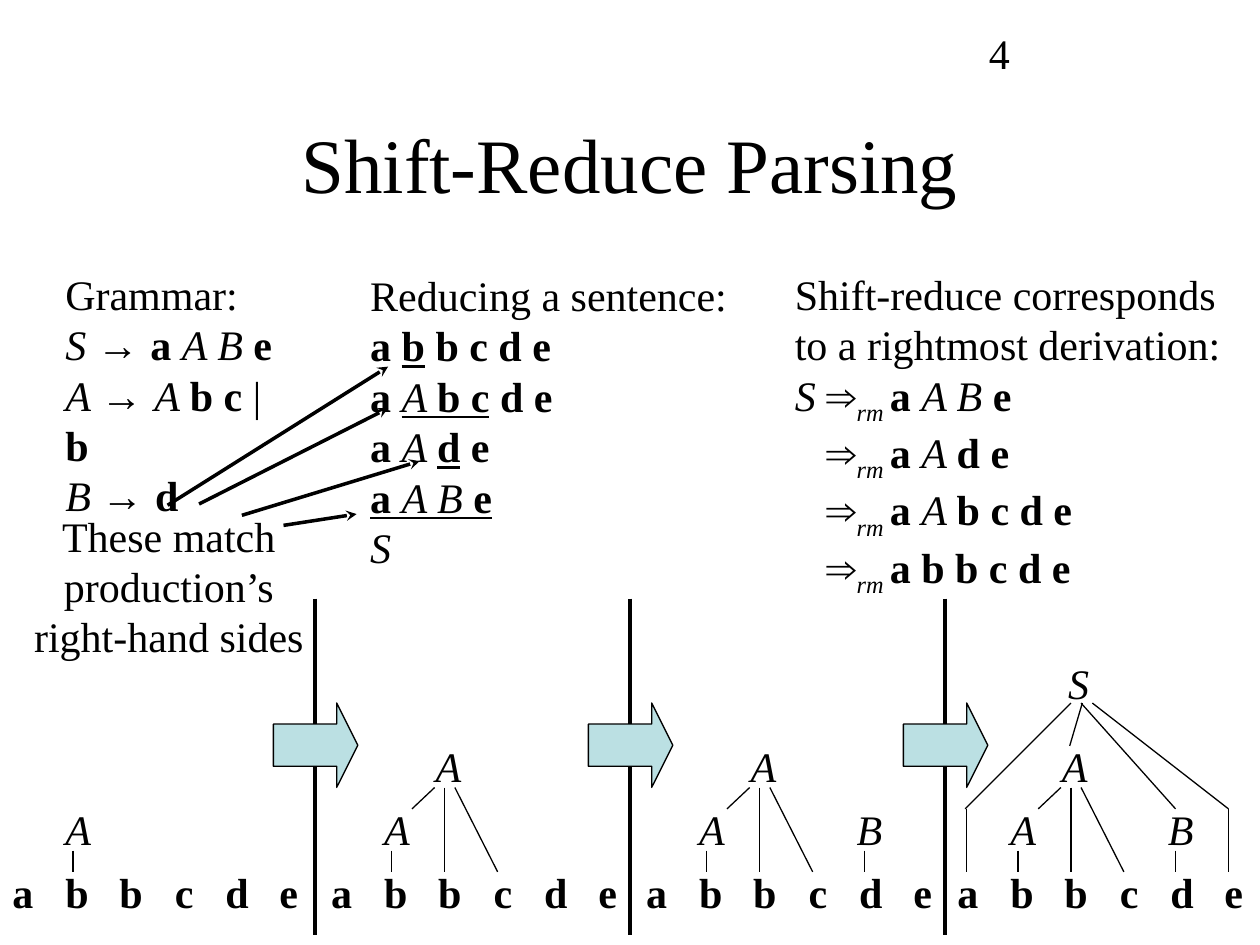
from typing import NamedTuple

from lxml import etree
from pptx import Presentation
from pptx.dml.color import RGBColor
from pptx.enum.shapes import MSO_CONNECTOR, MSO_SHAPE
from pptx.enum.text import MSO_ANCHOR, PP_ALIGN
from pptx.oxml.ns import qn
from pptx.util import Inches, Pt

STRAIGHT = MSO_CONNECTOR.STRAIGHT
RIGHT_ARROW = MSO_SHAPE.RIGHT_ARROW
LEFT, CENTER = PP_ALIGN.LEFT, PP_ALIGN.CENTER
TOP, MIDDLE = MSO_ANCHOR.TOP, MSO_ANCHOR.MIDDLE

COLORS = {"ink": "000000", "arrow": "BBE0E3"}
SERIF, SANS = "Times New Roman", "Arial"
THIN, THICK = 0.75, 2
LETTER_TABS = (0.42, 0.85, 1.29, 1.69, 2.12)

# Style letters: b bold, i italic, u underline, s subscript, f arrow font
Run = tuple[str, str]
Line = list[Run]


class TextBlock(NamedTuple):
    left: float
    top: float
    width: float
    height: float
    lines: list[Line]
    wrap: bool = False
    align: int = LEFT
    indent: float = 0  # left margin of lines that open with a derivation arrow
    tabs: tuple[float, ...] = ()


class Segment(NamedTuple):
    x1: float
    y1: float
    x2: float
    y2: float


class Node(NamedTuple):
    symbol: str
    x: float
    y: float


class Tree(NamedTuple):
    left: float
    nodes: list[Node]
    branches: list[Segment]


def color(name: str) -> RGBColor:
    return RGBColor.from_string(COLORS[name])


def add_run(paragraph, text: str, style: str = "", size: float = 24) -> None:
    run = paragraph.add_run()
    run.text = text
    formats = {
        "name": SANS if "f" in style else SERIF,
        "size": Pt(size),
        "bold": "b" in style,
        "italic": "i" in style,
        "underline": "u" in style,
    }
    for attribute, value in formats.items():
        setattr(run.font, attribute, value)
    run.font.color.rgb = color("ink")
    if "s" in style:
        run.font._element.set("baseline", "-25000")


def add_text(slide, block: TextBlock) -> None:
    box = slide.shapes.add_textbox(*map(Inches, block[:4]))
    frame = box.text_frame
    frame.word_wrap = block.wrap
    frame.vertical_anchor = TOP
    for index, line in enumerate(block.lines):
        paragraph = frame.add_paragraph() if index else frame.paragraphs[0]
        paragraph.alignment = block.align
        properties = paragraph._p.get_or_add_pPr()
        if line[0][0] == "⇒":
            properties.set("marL", str(Inches(block.indent)))
        if block.tabs:
            tab_list = etree.SubElement(properties, qn("a:tabLst"))
            for stop in block.tabs:
                etree.SubElement(tab_list, qn("a:tab"), pos=str(Inches(stop)), algn="l")
        for text, style in line:
            add_run(paragraph, text, style)


def add_line(slide, segment: Segment, width: float, arrow: bool = False) -> None:
    connector = slide.shapes.add_connector(STRAIGHT, *map(Inches, segment))
    connector.line.color.rgb = color("ink")
    connector.line.width = Pt(width)
    if arrow:
        etree.SubElement(connector.line._get_or_add_ln(), qn("a:tailEnd"), type="stealth")
    etree.SubElement(connector._element.spPr, qn("a:effectLst"))


def add_tree(slide, tree: Tree) -> None:
    for x1, y1, x2, y2 in tree.branches:
        add_line(slide, Segment(tree.left + x1, y1, tree.left + x2, y2), THIN)
    letters = [[("\t".join("abbcde"), "b")]]
    add_text(slide, TextBlock(tree.left, 6.83, 2.5, 0.5, letters, True, tabs=LETTER_TABS))
    for symbol, x, y in tree.nodes:
        add_text(slide, TextBlock(tree.left + x, y, 0.4, 0.5, [[(symbol, "i")]]))


def add_step_arrow(slide, center: float) -> None:
    arrow = slide.shapes.add_shape(
        RIGHT_ARROW, Inches(center - 0.33), Inches(5.58), Inches(0.67), Inches(0.67))
    arrow.adjustments[0], arrow.adjustments[1] = 0.5, 0.25
    arrow.shadow.inherit = False
    arrow.fill.solid()
    arrow.fill.fore_color.rgb = color("arrow")
    arrow.line.color.rgb = color("ink")
    arrow.line.width = Pt(THIN)


def set_title(slide, text: str) -> None:
    title = slide.shapes.title
    box = {"left": 0.75, "top": 0.67, "width": 8.5, "height": 1.25}
    for attribute, value in box.items():
        setattr(title, attribute, Inches(value))
    title.text_frame.vertical_anchor = MIDDLE
    paragraph = title.text_frame.paragraphs[0]
    paragraph.alignment = CENTER
    add_run(paragraph, text, size=44)


# Text columns
ARROW: Run = ("→ ", "f")
DERIVES: Line = [("⇒", "f"), ("rm ", "is")]
GRAMMAR = TextBlock(0.42, 2.08, 1.96, 1.7, [
    [("Grammar:", "")],
    [("S ", "i"), ARROW, ("a ", "b"), ("A B ", "i"), ("e", "b")],
    [("A ", "i"), ARROW, ("A ", "i"), ("b c ", "b"), ("| ", ""), ("b", "b")],
    [("B ", "i"), ARROW, ("d", "b")],
], wrap=True)
DERIVATION = TextBlock(6.21, 2.08, 3.58, 2.72, [
    [("Shift-reduce corresponds", "")],
    [("to a rightmost derivation:", "")],
    [("S ", "i"), *DERIVES, ("a ", "b"), ("A B ", "i"), ("e", "b")],
    [*DERIVES, ("a ", "b"), ("A ", "i"), ("d e", "b")],
    [*DERIVES, ("a ", "b"), ("A ", "i"), ("b c d e", "b")],
    [*DERIVES, ("a b b c d e", "b")],
], indent=0.25)
REDUCTION = TextBlock(2.84, 2.09, 3.03, 2.5, [
    [("Reducing a sentence:", "")],
    [("a ", "b"), ("b", "bu"), (" b c d e", "b")],
    [("a ", "b"), ("A ", "iu"), ("b c", "bu"), (" d e", "b")],
    [("a ", "b"), ("A ", "i"), ("d", "bu"), (" e", "b")],
    [("a ", "bu"), ("A B", "iu"), (" ", "biu"), ("e", "bu")],
    [("S", "i")],
])
MATCH_NOTE = TextBlock(0.17, 4, 2.34, 1.3, [
    [("These match", "")], [("production’s", "")], [("right-hand sides", "")],
], align=CENTER)
PAGE_NUMBER = TextBlock(7.75, 0.17, 2.08, 0.49, [[("4", "")]], wrap=True)

MATCH_ARROWS = [
    Segment(1.33, 4.01, 3.08, 2.91),
    Segment(1.58, 4, 3.08, 3.24),
    Segment(1.92, 4.09, 3.33, 3.66),
    Segment(2.25, 4.17, 2.83, 4.08),
]

# Each tree keeps the nodes of the step before and adds one reduction
LOWER_A, UPPER_A = Node("A", 0.42, 6.33), Node("A", 0.83, 5.83)
NODE_B, NODE_S = Node("B", 1.67, 6.33), Node("S", 0.88, 5.17)
LOWER_A_BRANCH = [Segment(0.58, 6.75, 0.58, 6.92)]
UPPER_A_BRANCHES = LOWER_A_BRANCH + [
    Segment(0.92, 6.25, 0.74, 6.42),
    Segment(1, 6.25, 1, 6.92),
    Segment(1.08, 6.25, 1.42, 6.92),
]
B_BRANCHES = UPPER_A_BRANCHES + [Segment(1.83, 6.75, 1.83, 6.92)]
S_BRANCHES = B_BRANCHES + [
    Segment(1, 5.58, 0.16, 6.42), Segment(0.17, 6.42, 0.17, 6.92),
    Segment(1.09, 5.58, 0.99, 5.92), Segment(1.08, 5.58, 1.83, 6.42),
    Segment(1.17, 5.58, 2.25, 6.42), Segment(2.25, 6.42, 2.25, 6.92),
]
TREES = [
    Tree(0, [LOWER_A], LOWER_A_BRANCH),
    Tree(2.53, [LOWER_A, UPPER_A], UPPER_A_BRANCHES),
    Tree(5.03, [LOWER_A, UPPER_A, NODE_B], B_BRANCHES),
    Tree(7.5, [LOWER_A, UPPER_A, NODE_B, NODE_S], S_BRANCHES),
]


def main() -> None:
    presentation = Presentation()
    presentation.slide_width, presentation.slide_height = Inches(10), Inches(7.5)
    slide = presentation.slides.add_slide(presentation.slide_layouts[5])
    set_title(slide, "Shift-Reduce Parsing")
    for block in (GRAMMAR, DERIVATION, REDUCTION):
        add_text(slide, block)
    for tree in TREES:
        add_tree(slide, tree)

    # Dividers with the step arrows on them
    dividers = (2.5, 5, 7.5)
    for x in dividers:
        add_line(slide, Segment(x, 4.75, x, 7.42), THICK)
    for x in dividers:
        add_step_arrow(slide, x)

    # Note with its arrows, and the page number
    add_text(slide, MATCH_NOTE)
    for segment in MATCH_ARROWS:
        add_line(slide, segment, THICK, arrow=True)
    add_text(slide, PAGE_NUMBER)
    presentation.save("out.pptx")


if __name__ == "__main__":
    main()
